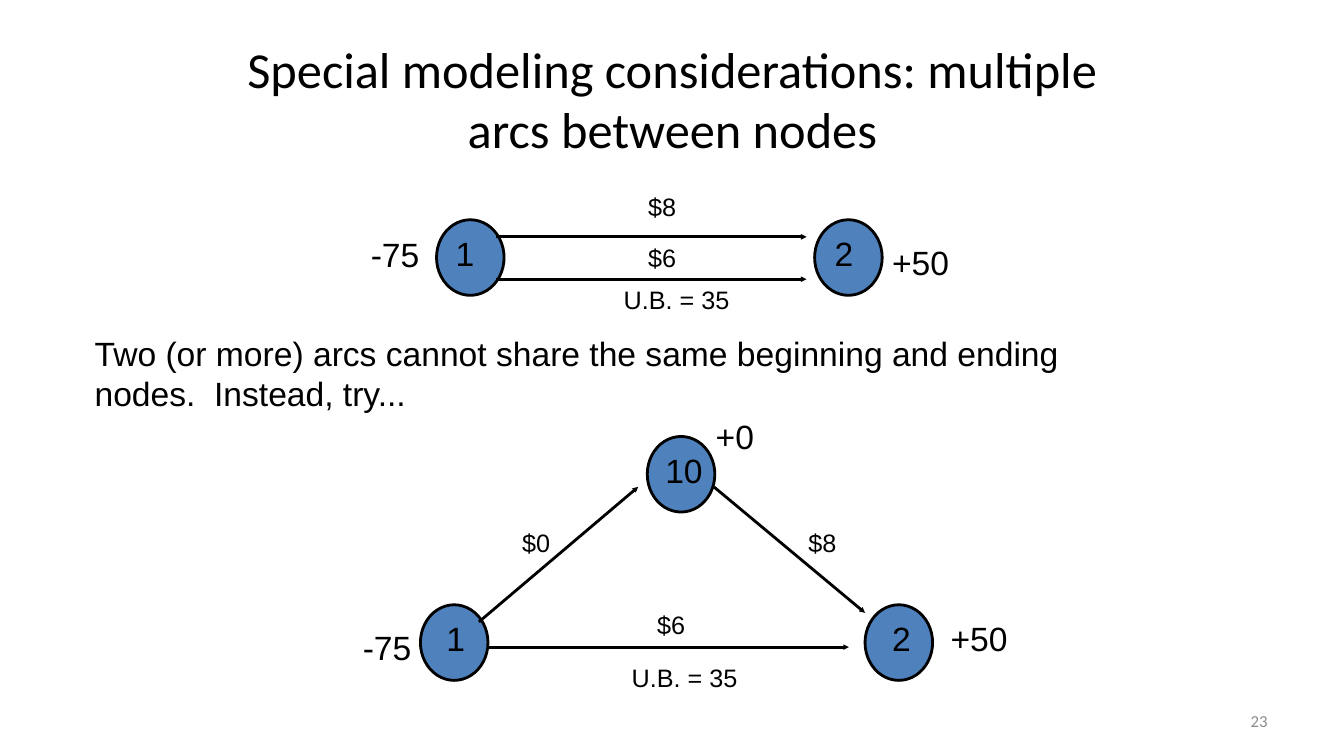
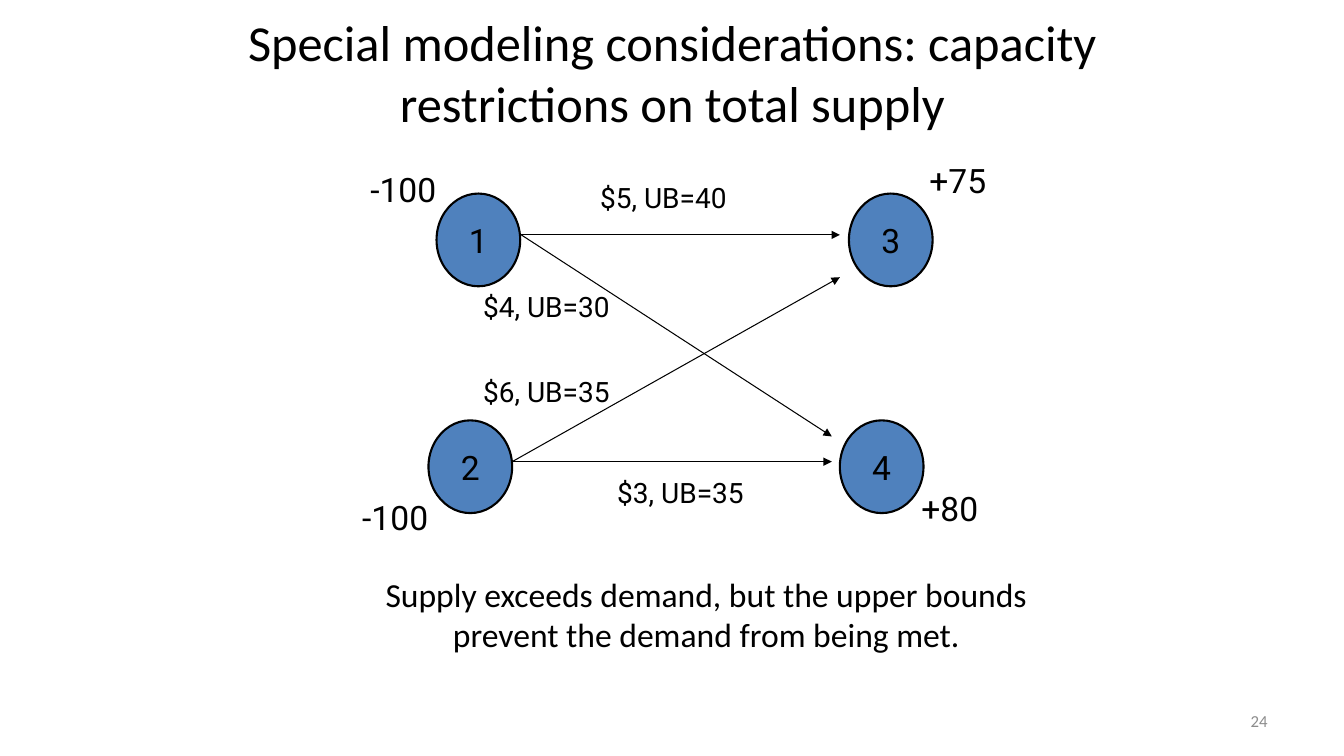
from dataclasses import dataclass

from lxml import etree
from pptx import Presentation
from pptx.dml.color import RGBColor
from pptx.enum.shapes import MSO_CONNECTOR, MSO_SHAPE
from pptx.enum.text import MSO_ANCHOR, PP_ALIGN
from pptx.oxml.ns import qn
from pptx.util import Inches, Pt

LEFT, CENTER, RIGHT = PP_ALIGN.LEFT, PP_ALIGN.CENTER, PP_ALIGN.RIGHT
TOP, MIDDLE = MSO_ANCHOR.TOP, MSO_ANCHOR.MIDDLE
OVAL, STRAIGHT = MSO_SHAPE.OVAL, MSO_CONNECTOR.STRAIGHT
BLANK = 6


@dataclass(frozen=True)
class Theme:
    ink: RGBColor = RGBColor(0x00, 0x00, 0x00)
    node: RGBColor = RGBColor(0x4F, 0x81, 0xBD)
    muted: RGBColor = RGBColor(0x8C, 0x8C, 0x8C)
    heading_font: str = "Calibri"
    title: int = 36
    body: int = 24
    footer: int = 12


@dataclass(frozen=True)
class Network:
    """Look of one network diagram; sizes in points, node size in inches."""
    font: str
    cost: int
    node_size: tuple
    outline: float
    arc: float
    head: str


ARC_PAIR = Network("Arial", 18, (0.67, 0.75), 2, 2, "sm")
SUPPLY = Network("Roboto", 20, (0.83, 0.92), 1.5, 0.75, "med")


class Deck:
    def __init__(self, theme):
        self.theme = theme
        self.prs = Presentation()
        self.prs.slide_width = Inches(13.33)
        self.prs.slide_height = Inches(7.5)

    def slide(self, title, title_box, number, network):
        t = self.theme
        self.network = network
        self.s = self.prs.slides.add_slide(self.prs.slide_layouts[BLANK])
        self.text(title, title_box, t.title, t.heading_font, CENTER, MIDDLE)
        self.text(str(number), (9.56, 6.95, 3.11, 0.4), t.footer,
                  t.heading_font, RIGHT, MIDDLE, t.muted)

    def fill_text(self, shape, text, size, font, align, anchor, color):
        tf = shape.text_frame
        tf.word_wrap = True
        tf.vertical_anchor = anchor
        tf.text = text
        p = tf.paragraphs[0]
        p.alignment = align
        r = p.runs[0]
        r.font.size, r.font.name = Pt(size), font
        r.font.color.rgb = color

    def text(self, text, box, size, font, align=LEFT, anchor=TOP, color=None):
        sp = self.s.shapes.add_textbox(*map(Inches, box))
        self.fill_text(sp, text, size, font, align, anchor,
                       color or self.theme.ink)

    def label(self, text, box, align=LEFT, anchor=TOP):
        """Text in the size of a node name or a supply."""
        self.text(text, box, self.theme.body, self.network.font, align, anchor)

    def cost(self, text, box, align=LEFT, anchor=TOP):
        self.text(text, box, self.network.cost, self.network.font, align, anchor)

    def node(self, x, y, name=""):
        t, net = self.theme, self.network
        sp = self.s.shapes.add_shape(OVAL, *map(Inches, (x, y, *net.node_size)))
        sp.shadow.inherit = False
        sp.fill.solid()
        sp.fill.fore_color.rgb = t.node
        sp.line.color.rgb = t.ink
        sp.line.width = Pt(net.outline)
        if name:
            self.fill_text(sp, name, t.body, net.font, CENTER, MIDDLE, t.ink)

    def arc(self, x1, y1, x2, y2):
        net = self.network
        cx = self.s.shapes.add_connector(STRAIGHT, *map(Inches, (x1, y1, x2, y2)))
        cx.line.color.rgb = self.theme.ink
        cx.line.width = Pt(net.arc)
        sp_pr = cx._element.spPr
        etree.SubElement(sp_pr.find(qn("a:ln")), qn("a:tailEnd"),
                         type="triangle", w=net.head, len=net.head)
        etree.SubElement(sp_pr, qn("a:effectLst"))


def multiple_arcs(deck):
    deck.slide("Special modeling considerations: multiple arcs between nodes",
               (2.17, 0.59, 9, 0.77), 23, ARC_PAIR)

    for x, y, name, name_x in [(4.33, 2.18, "1", 4.42), (8.08, 2.18, "2", 8.18),
                               (6.42, 4.33, "10", 6.5), (4.17, 6, "1", 4.33),
                               (8.58, 6, "2", 8.75)]:
        deck.node(x, y)
        deck.label(name, (name_x, y + 0.08, 0.33 * len(name), 0.5))

    for supply, x, y in [("-75", 3.58, 2.27), ("+50", 8.75, 2.35), ("+0", 7, 4.08),
                         ("-75", 3.5, 6.17), ("+50", 9.33, 6.08)]:
        deck.label(supply, (x, y, 0.83, 0.5))

    for ends in [(4.92, 2.35, 8, 2.35), (4.92, 2.77, 8, 2.77),
                 (4.75, 6.17, 6.33, 4.83), (7.08, 4.83, 8.58, 6.08),
                 (4.83, 6.42, 8.42, 6.42)]:
        deck.arc(*ends)

    for cost, x, y in [("$8", 6.33, 1.85), ("$6", 6.33, 2.36), ("$0", 5.08, 5.18),
                       ("$8", 7.92, 5.18), ("$6", 6.42, 6)]:
        deck.cost(cost, (x, y, 0.58, 0.4))
    for x, y in [(5.75, 2.77), (5.83, 6.52)]:
        deck.cost("U.B. = 35", (x, y, 1.92, 0.4), CENTER)

    deck.label("Two (or more) arcs cannot share the same beginning and ending "
               "nodes.  Instead, try...", (0.84, 3.25, 10.33, 0.91))


def capacity_restrictions(deck):
    t = deck.theme
    deck.slide("Special modeling considerations: capacity restrictions on total supply",
               (1.92, 0.33, 9.5, 0.77), 24, SUPPLY)
    deck.text("Supply exceeds demand, but the upper bounds prevent the demand "
              "from being met.", (3.42, 5.64, 7.17, 0.91), t.body,
              t.heading_font, CENTER)

    for name, x, y, supply, supply_x, supply_y in [
            ("1", 4.33, 1.92, "-100", 3.5, 1.67), ("2", 4.25, 4.17, "-100", 3.42, 4.92),
            ("3", 8.42, 1.92, "+75", 9, 1.58), ("4", 8.33, 4.17, "+80", 8.92, 4.83)]:
        deck.node(x, y, name)
        deck.label(supply, (supply_x, supply_y, 1, 0.42), CENTER, MIDDLE)

    for ends in [(5.17, 2.33, 8.33, 2.33), (5.17, 2.33, 8.25, 4.33),
                 (5.08, 4.58, 8.33, 2.75), (5.08, 4.58, 8.25, 4.58)]:
        deck.arc(*ends)

    for cost, x, y in [("$5, UB=40", 5.68, 1.75), ("$4, UB=30", 4.52, 2.83),
                       ("$6, UB=35", 4.52, 3.67), ("$3, UB=35", 5.85, 4.67)]:
        deck.cost(cost, (x, y, 1.8, 0.42), CENTER, MIDDLE)


def main():
    deck = Deck(Theme())
    multiple_arcs(deck)
    capacity_restrictions(deck)
    deck.prs.save("out.pptx")


if __name__ == "__main__":
    main()
